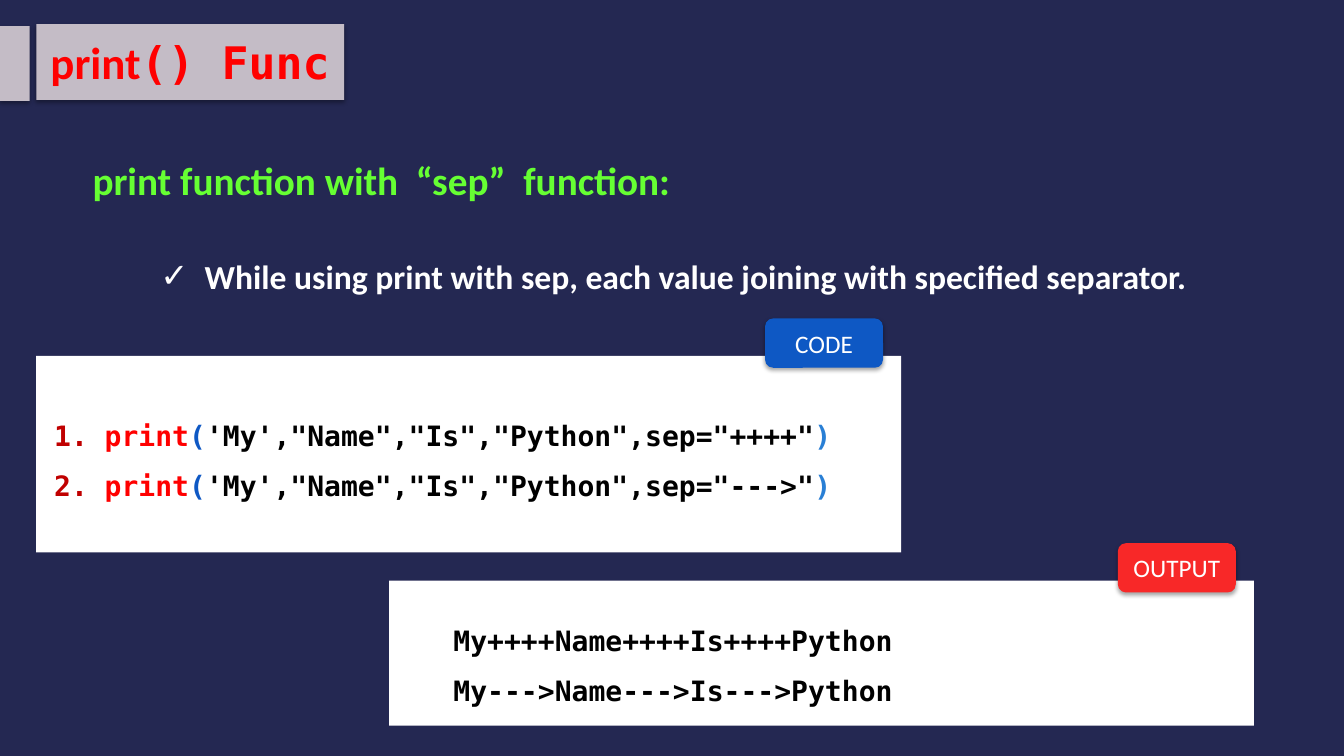
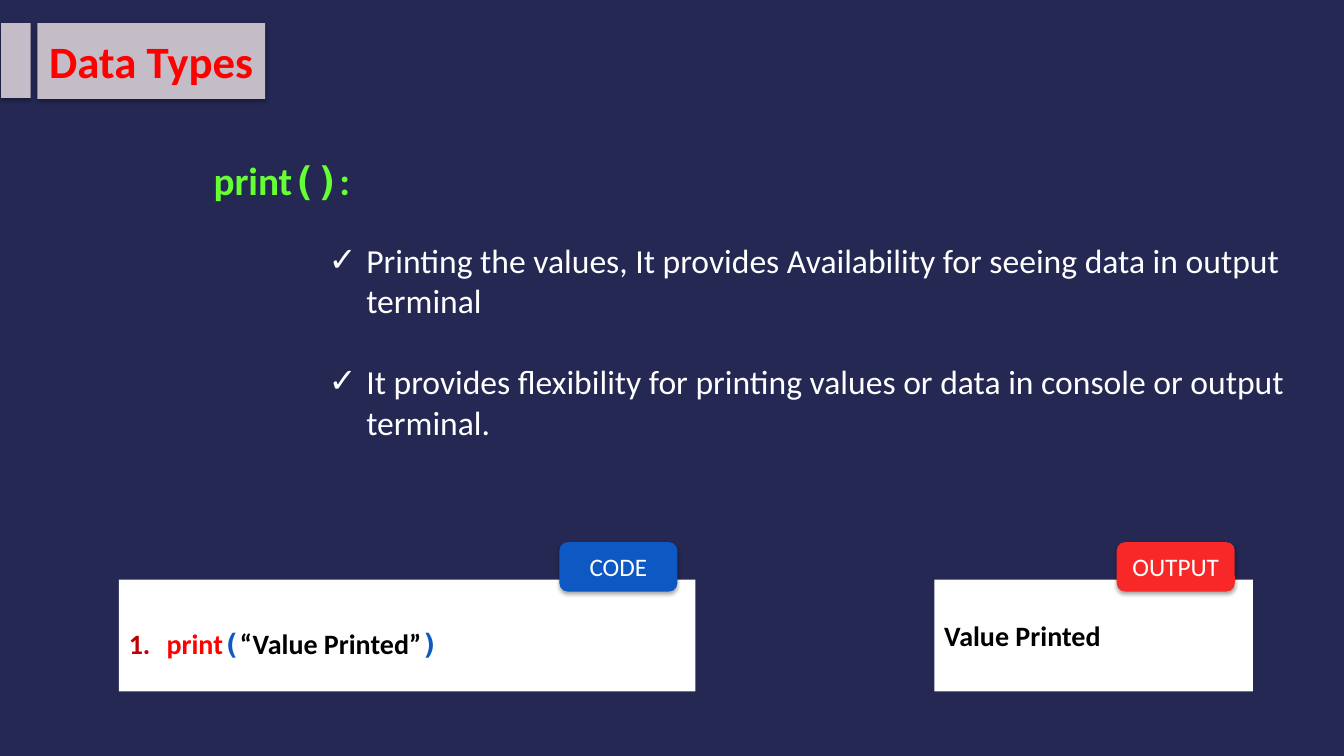
from dataclasses import dataclass

import pptx
import pptx.dml.color
import pptx.enum.shapes
import pptx.enum.text
import pptx.oxml
import pptx.oxml.ns
import pptx.util

SHAPES = pptx.enum.shapes.MSO_SHAPE
ANCHOR = pptx.enum.text.MSO_ANCHOR
ALIGN = pptx.enum.text.PP_ALIGN
NS = pptx.oxml.ns.nsdecls("a")
Pt = pptx.util.Pt


@dataclass(frozen=True)
class Theme:
    # Colours
    night: str = "242852"
    band: str = "C4BCC6"
    white: str = "FFFFFF"
    black: str = "000000"
    red: str = "FF0000"
    green: str = "66FF33"
    blue: str = "0E58C4"
    sky: str = "297FD5"
    number: str = "C00000"
    output: str = "F82828"
    # Fonts and type sizes
    sans: str = "Calibri"
    mono: str = "DejaVu Sans Mono"
    title: int = 32
    heading: int = 28
    body: int = 24
    code: int = 20
    tag: int = 18


THEME = Theme()


def rgb(colour):
    return pptx.dml.color.RGBColor.from_string(colour)


class Deck:
    """Style and current slide; boxes are (left, top, width, height) in percent."""

    TAG_SIZE = (8.78, 6.53)
    TAG_INSET, TAG_RISE = 1.35, 4.95
    FIRST_LINE = 5.2

    def __init__(self):
        self.prs = pptx.Presentation()
        self.prs.slide_width = pptx.util.Inches(13.33)
        self.prs.slide_height = pptx.util.Inches(7.5)
        backdrop = self.prs.slide_master.background.fill
        backdrop.solid()
        backdrop.fore_color.rgb = rgb(THEME.night)
        self.slide = None

    # Geometry
    def x(self, share):
        return round(self.prs.slide_width * share / 100)

    def y(self, share):
        return round(self.prs.slide_height * share / 100)

    def place(self, box):
        left, top, width, height = box
        return self.x(left), self.y(top), self.x(width), self.y(height)

    def move(self, shape, box):
        shape.left, shape.top, shape.width, shape.height = self.place(box)

    # Shape and text style
    def paint(self, shape, colour, raised=False):
        shape.fill.solid()
        shape.fill.fore_color.rgb = rgb(colour)
        shape.line.fill.background()
        shape.shadow.inherit = False
        if raised:
            effects = shape._element.spPr.find(pptx.oxml.ns.qn("a:effectLst"))
            effects.append(pptx.oxml.parse_xml(
                f'<a:outerShdw {NS} blurRad="39370" dist="22860" dir="5400000" '
                'rotWithShape="0"><a:srgbClr val="000000"><a:alpha val="35000"/>'
                '</a:srgbClr></a:outerShdw>'))

    def bullet(self, paragraph, hang, *marks):
        props = paragraph._p.get_or_add_pPr()
        props.set("marL", str(self.x(hang)))
        props.set("indent", str(-self.x(hang)))
        for mark in marks:
            props.append(pptx.oxml.parse_xml(mark))

    def set_runs(self, paragraph, runs, size, bold=True):
        """Fill a paragraph with (text, font, colour) runs."""
        paragraph.font.size = Pt(size)
        paragraph.font.bold = bold
        shared = len(runs) == 1
        for text, face, colour in runs:
            run = paragraph.add_run()
            run.text = text
            font = paragraph.font if shared else run.font
            font.name = face
            font.color.rgb = rgb(colour)

    def set_lines(self, frame, rows, spacing=1.0, hang=None, top=None):
        frame.word_wrap = True
        frame.vertical_anchor = ANCHOR.TOP
        if top is not None:
            frame.margin_top = self.y(top)
        for index, runs in enumerate(rows):
            paragraph = frame.add_paragraph() if index else frame.paragraphs[0]
            paragraph.alignment = ALIGN.LEFT
            paragraph.line_spacing = spacing
            if hang:
                self.bullet(
                    paragraph, hang,
                    f'<a:buClr {NS}><a:srgbClr val="{THEME.number}"/></a:buClr>',
                    f'<a:buAutoNum {NS} type="arabicPeriod"/>')
            self.set_runs(paragraph, runs, THEME.code)

    # Slide elements
    def new_slide(self, title_runs, title_box, edge_box):
        self.slide = self.prs.slides.add_slide(self.prs.slide_layouts[1])
        edge = self.slide.shapes.add_shape(SHAPES.RECTANGLE, *self.place(edge_box))
        self.paint(edge, THEME.band, raised=True)
        title = self.slide.shapes.title
        self.move(title, title_box)
        self.paint(title, THEME.band, raised=True)
        frame = title.text_frame
        frame.auto_size = pptx.enum.text.MSO_AUTO_SIZE.NONE
        frame.margin_left = frame.margin_right = 0
        frame.vertical_anchor = ANCHOR.MIDDLE
        frame.paragraphs[0].alignment = ALIGN.CENTER
        self.set_runs(frame.paragraphs[0], title_runs, THEME.title)

    def heading(self, runs, box):
        frame = self.slide.shapes.add_textbox(*self.place(box)).text_frame
        frame.word_wrap = True
        frame.paragraphs[0].space_before = Pt(THEME.heading * 0.2)
        self.set_runs(frame.paragraphs[0], runs, THEME.heading)

    def checklist(self, points, box, hang, bold=False):
        body = self.slide.placeholders[1]
        self.move(body, box)
        frame = body.text_frame
        frame.auto_size = pptx.enum.text.MSO_AUTO_SIZE.NONE
        for index, point in enumerate(points):
            paragraph = frame.add_paragraph() if index else frame.paragraphs[0]
            paragraph.space_before = Pt(29 if index else 0)
            self.bullet(paragraph, hang, f'<a:buChar {NS} char="✓"/>')
            self.set_runs(paragraph, [(point, THEME.sans, THEME.white)], THEME.body, bold)

    def panel(self, box, label, colour):
        """White panel with a tag on its top right edge, as one group."""
        group = self.slide.shapes.add_group_shape()
        sheet = group.shapes.add_shape(SHAPES.RECTANGLE, *self.place(box))
        self.paint(sheet, THEME.white)
        left, top, width, _ = box
        tag_left = left + width - self.TAG_INSET - self.TAG_SIZE[0]
        tag = group.shapes.add_shape(
            SHAPES.ROUNDED_RECTANGLE,
            *self.place((tag_left, top - self.TAG_RISE, *self.TAG_SIZE)))
        self.paint(tag, colour, raised=True)
        tag.text_frame.vertical_anchor = ANCHOR.MIDDLE
        tag.text_frame.paragraphs[0].alignment = ALIGN.CENTER
        self.set_runs(tag.text_frame.paragraphs[0],
                      [(label, THEME.sans, THEME.white)], THEME.tag, bold=False)
        return group, sheet

    def listing(self, group, box, rows, **layout):
        frame = group.shapes.add_textbox(*self.place(box)).text_frame
        self.set_lines(frame, rows, **layout)


deck = Deck()

# Slide 1: print() with a separator
deck.new_slide([("print", THEME.sans, THEME.red), ("() Func", THEME.mono, THEME.red)],
               (2.7, 3.2, 22.9, 10), (0, 3.47, 2.2, 9.9))
deck.heading([("print function with  “sep”  function:", THEME.sans, THEME.green)],
             (6.15, 20, 65.6, 11.1))
deck.checklist(["While using print with sep, each value joining with specified separator."],
               (11.18, 33.2, 79.3, 6.67), hang=3.3, bold=True)

separators = ("++++", "--->")
sep_code, _ = deck.panel((2.7, 47.07, 64.35, 26), "CODE", THEME.blue)
deck.listing(sep_code, (3.3, 47.87, 59.3, 27.5),
             [[("print", THEME.mono, THEME.red),
               ("(", THEME.mono, THEME.blue),
               (f"'My',\"Name\",\"Is\",\"Python\",sep=\"{sep}\"", THEME.mono, THEME.black),
               (")", THEME.mono, THEME.sky)] for sep in separators],
             spacing=1.5, hang=3.75, top=deck.FIRST_LINE)

sep_output, _ = deck.panel((28.95, 76.8, 64.35, 19.2), "OUTPUT", THEME.output)
deck.listing(sep_output, (33, 79.6, 50, 14),
             [[(sep.join(("My", "Name", "Is", "Python")), THEME.mono, THEME.black)]
              for sep in separators], spacing=1.5)

# Slide 2: print() basics
deck.new_slide([("Data Types", THEME.sans, THEME.red)],
               (2.78, 3.07, 16.95, 10), (0.08, 3.07, 2.2, 9.9))
deck.heading([("print", THEME.sans, THEME.green), ("()", THEME.mono, THEME.green),
              (":", THEME.sans, THEME.green)], (15.15, 20, 29.85, 11.1))
deck.checklist(
    ["Printing the values, It provides Availability for seeing data in output terminal",
     "It provides flexibility for printing values or data in console or output terminal."],
    (23.7, 31.07, 73.5, 33.6), hang=2.81)

value_code, _ = deck.panel((8.85, 76.67, 42.9, 14.8), "CODE", THEME.blue)
deck.listing(value_code, (8.85, 77.6, 38.2, 14.8),
             [[("print", THEME.sans, THEME.red), ("(", THEME.mono, THEME.blue),
               ("“Value Printed”", THEME.sans, THEME.black),
               (")", THEME.mono, THEME.blue)]],
             hang=2.81, top=deck.FIRST_LINE)

_, value_output = deck.panel((69.52, 76.67, 23.7, 14.8), "OUTPUT", THEME.output)
deck.set_lines(value_output.text_frame, [[("Value Printed", THEME.sans, THEME.black)]],
               top=deck.FIRST_LINE)

deck.prs.save("out.pptx")
